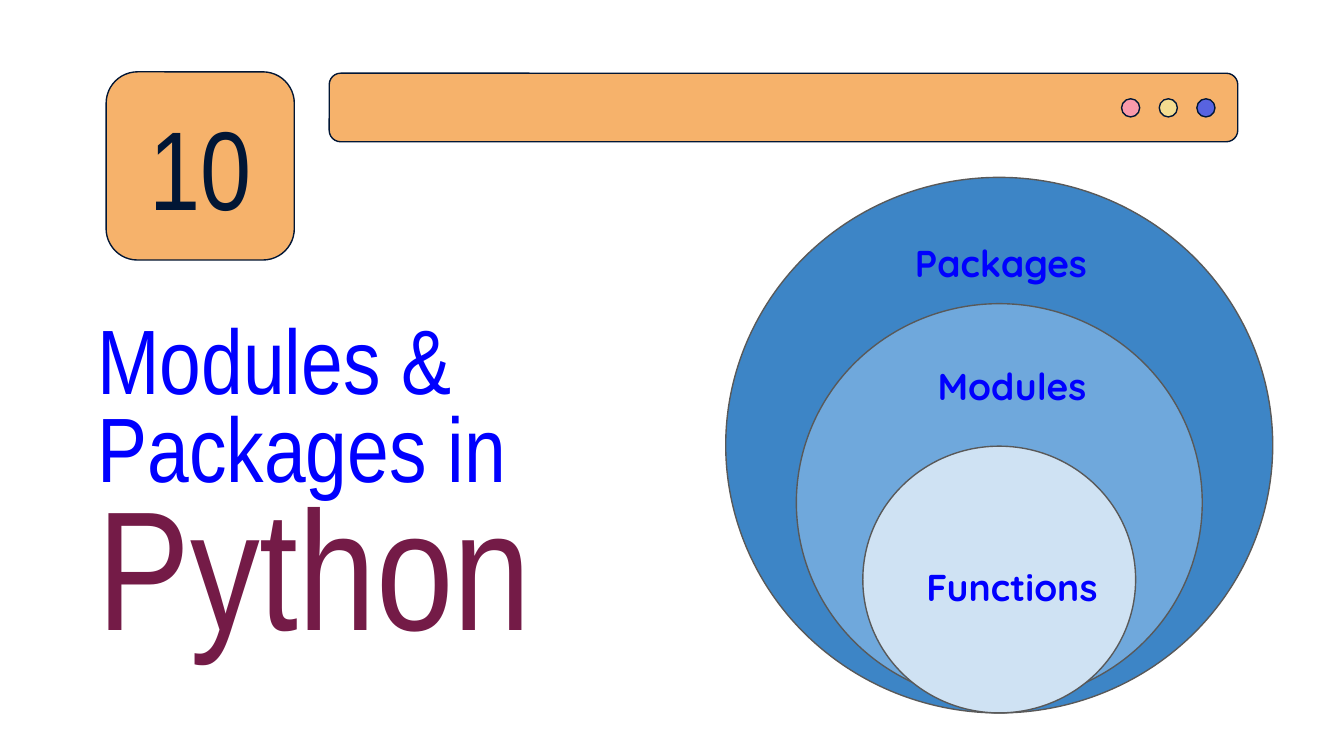
from pptx import Presentation
from pptx.dml.color import RGBColor
from pptx.enum.shapes import MSO_SHAPE
from pptx.enum.text import MSO_ANCHOR, MSO_AUTO_SIZE, PP_ALIGN
from pptx.util import Pt

OVAL, ROUND = MSO_SHAPE.OVAL, MSO_SHAPE.ROUNDED_RECTANGLE
TOP, MIDDLE = MSO_ANCHOR.TOP, MSO_ANCHOR.MIDDLE
FIXED, GROW = MSO_AUTO_SIZE.NONE, MSO_AUTO_SIZE.SHAPE_TO_FIT_TEXT
LEFT, CENTER = PP_ALIGN.LEFT, PP_ALIGN.CENTER
PX = 4572
COLORS = {
    "orange": "F6B26B", "navy": "011635", "gray": "595959",
    "pink": "F99AAA", "yellow": "F4DC90", "violet": "5863E0",
    "deep": "3D85C6", "mid": "6FA8DC", "pale": "CFE2F3",
    "blue": "0000FF", "plum": "741B47",
}


def px(*sizes):
    """Turn px lengths into EMU."""
    return [size * PX for size in sizes]


def color(name):
    """Look up a named colour."""
    return RGBColor.from_string(COLORS[name])


def apply(target, values):
    """Set attributes from a dict."""
    for name, value in values.items():
        setattr(target, name, value)


def add_form(shapes, kind, box, fill, line):
    """Add a filled and outlined preset shape."""
    form = shapes.add_shape(kind, *px(*box))
    form.shadow.inherit = False
    form.fill.solid()
    form.fill.fore_color.rgb = color(fill)
    form.line.color.rgb = color(line)
    form.line.width = Pt(0.75)


def set_text(shape, runs, font, frame, para, inset=0):
    """Fill a shape with one paragraph of (text, size, colour) runs."""
    sides = ("margin_left", "margin_top", "margin_right", "margin_bottom")
    body = shape.text_frame
    apply(body, {"word_wrap": True, **frame, **dict.fromkeys(sides, inset * PX)})
    line = body.paragraphs[0]
    apply(line, para)
    for text, size, tint in runs:
        run = line.add_run()
        run.text = text
        apply(run.font, {"size": Pt(size), **font})
        run.font.color.rgb = color(tint)


def add_title(slide):
    """Place and format the title."""
    title = slide.shapes.title
    apply(title, dict(zip(("left", "top", "width", "height"), px(145, 536, 842, 398))))
    runs = [("Modules & Packages in ", 49, "blue"), ("Python", 91, "plum")]
    set_text(title, runs, {"name": "Arial Narrow"},
             {"vertical_anchor": MIDDLE, "auto_size": FIXED},
             {"alignment": LEFT, "line_spacing": 0.8})


def add_header(shapes):
    """Add the bar, its dots and the number tile."""
    add_form(shapes, ROUND, (490, 109, 1352, 102), "orange", "navy")
    add_form(shapes, ROUND, (158, 107, 280, 280), "orange", "navy")
    number = shapes.add_textbox(*px(194, 143, 208, 208))
    set_text(number, [("10", 60, "navy")], {"name": "Arial Narrow"},
             {"vertical_anchor": MIDDLE}, {"alignment": CENTER})
    dots = shapes.add_group_shape().shapes
    for i, fill in enumerate(("pink", "yellow", "violet")):
        add_form(dots, OVAL, (1669 + 56 * i, 147, 27, 27), fill, "navy")


def add_rings(shapes):
    """Add the nested ovals and their labels."""
    rings = (
        ((1080, 264, 814, 797), "deep", "Packages", 337, LEFT),
        ((1185, 452, 604, 592), "mid", "Modules", 520, CENTER),
        ((1284, 664, 406, 397), "pale", "Functions", 820, CENTER),
    )
    for box, fill, *_ in rings:
        add_form(shapes, OVAL, box, fill, "gray")
    for _, _, text, top, align in rings:
        label = shapes.add_textbox(*px(1342, top, 328, 108))
        set_text(label, [(text, 20, "blue")], {"name": "Quicksand", "bold": True},
                 {"vertical_anchor": TOP, "auto_size": GROW}, {"alignment": align}, 20)


def main():
    """Build and save the slide."""
    deck = Presentation()
    deck.slide_width, deck.slide_height = px(2000, 1125)
    slide = deck.slides.add_slide(deck.slide_layouts[5])
    add_title(slide)
    add_header(slide.shapes)
    add_rings(slide.shapes)
    deck.save("out.pptx")


if __name__ == "__main__":
    main()
